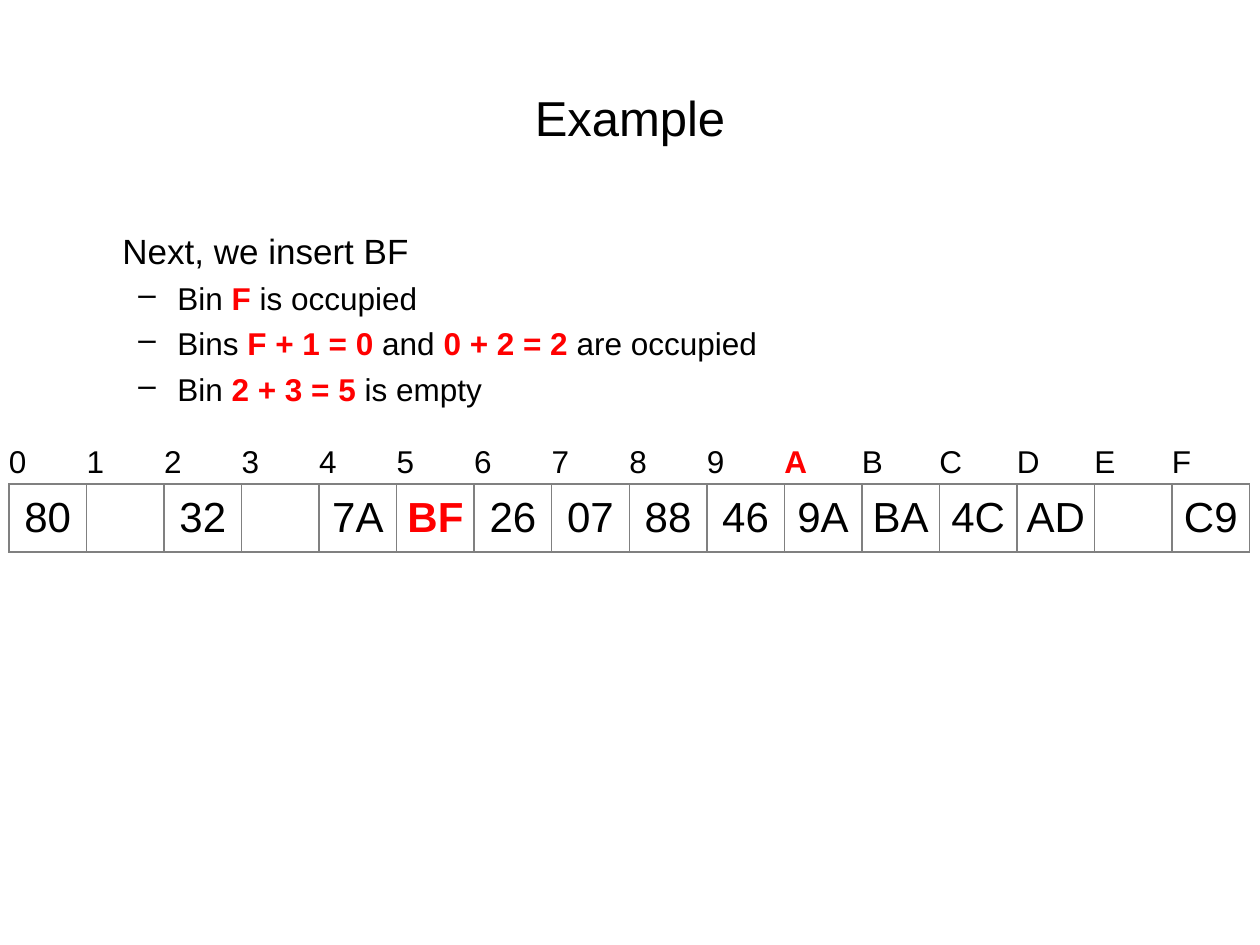
from lxml.etree import SubElement as Sub
from pptx import Presentation
from pptx.dml.color import RGBColor as RGB
from pptx.enum.text import MSO_ANCHOR as Anchor, PP_ALIGN as Align
from pptx.oxml.ns import qn
from pptx.util import Emu, Pt

BLACK = RGB(0, 0, 0)
RED = RGB(255, 0, 0)
GRAY = RGB(128, 128, 128)
BINS = "0123456789ABCDEF"
KEYS = ["80", "", "32", "", "7A", "BF", "26", "07",
        "88", "46", "9A", "BA", "4C", "AD", "", "C9"]
STEPS = [
    [("Bin ", 0), ("F", 1), (" is occupied", 0)],
    [("Bins ", 0), ("F + 1 = 0", 1), (" and ", 0), ("0 + 2 = 2", 1),
     (" are occupied", 0)],
    [("Bin ", 0), ("2 + 3 = 5 ", 1), ("is empty", 0)],
]


def px(n):
    return Emu(round(n * 914400 / 126))


class Deck:
    font = "Arial"

    def __init__(self):
        self.prs = Presentation()
        self.prs.slide_width, self.prs.slide_height = px(1260), px(945)
        self.slide = self.prs.slides.add_slide(self.prs.slide_layouts[5])

    def text(self, par, runs, size, align=Align.LEFT):
        par.alignment = align
        par.font.size = Pt(size)
        for words, hot in runs:
            run = par.add_run()
            run.text = words
            font = run.font
            font.name, font.size, font.bold = self.font, Pt(size), bool(hot)
            font.color.rgb = RED if hot else BLACK

    def title(self, words, x, y, w, h):
        box = self.slide.shapes.title
        box.left, box.top, box.width, box.height = map(px, (x, y, w, h))
        frame = box.text_frame
        frame.vertical_anchor = Anchor.MIDDLE
        self.text(frame.paragraphs[0], [(words, 0)], 28, Align.CENTER)

    def body(self, head, items, x, y, w, h):
        box = self.slide.shapes.add_textbox(*map(px, (x, y, w, h)))
        frame = box.text_frame
        frame.word_wrap = True
        frame.margin_top = px(9)
        par = frame.paragraphs[0]
        par._p.get_or_add_pPr().set("marL", str(px(47)))
        self.text(par, [(head, 0)], 20)
        for runs in items:
            par = frame.add_paragraph()
            par.level = 1
            prop = par._p.get_or_add_pPr()
            prop.set("marL", str(px(102)))
            prop.set("indent", str(px(-39)))
            Sub(prop, qn("a:buChar"), char="–")
            par.space_before = Pt(4.4)
            self.text(par, runs, 18)

    def edge(self, cell, sides):
        prop = cell._tc.get_or_add_tcPr()
        for side in "LRTB":
            line = Sub(prop, qn("a:ln" + side), w=str(Pt(1)))
            if side in sides:
                fill = Sub(line, qn("a:solidFill"))
                Sub(fill, qn("a:srgbClr"), val=str(GRAY))
            else:
                Sub(line, qn("a:noFill"))

    def cell(self, cell, words, hot, size, align, sides):
        cell.margin_left = cell.margin_right = 0
        cell.margin_top = cell.margin_bottom = 0
        cell.vertical_anchor = Anchor.MIDDLE
        self.edge(cell, sides)
        cell.fill.background()
        runs = [(words, hot)] if words else []
        self.text(cell.text_frame.paragraphs[0], runs, size, align)

    def bins(self, names, keys, marks, x, y, w, tall):
        cols = len(names)
        table = self.slide.shapes.add_table(
            2, cols, px(x), px(y), px(w), px(sum(tall))).table
        table.first_row = table.horz_banding = False
        for row, h in zip(table.rows, tall):
            row.height = px(h)
        for i, (name, key) in enumerate(zip(names, keys)):
            table.columns[i].width = px(w / cols)
            self.cell(table.cell(0, i), name, name in marks, 18,
                      Align.LEFT, "B")
            self.cell(table.cell(1, i), key, key in marks, 24,
                      Align.CENTER, "LRTB")


def main():
    deck = Deck()
    deck.body("Next, we insert BF", STEPS, 63, 220, 1134, 624)
    deck.title("Example", 63, 38, 1134, 158)
    deck.bins(BINS, KEYS, ("A", "BF"), 9, 442, 1241, (42, 68))
    deck.prs.save("out.pptx")


if __name__ == "__main__":
    main()
